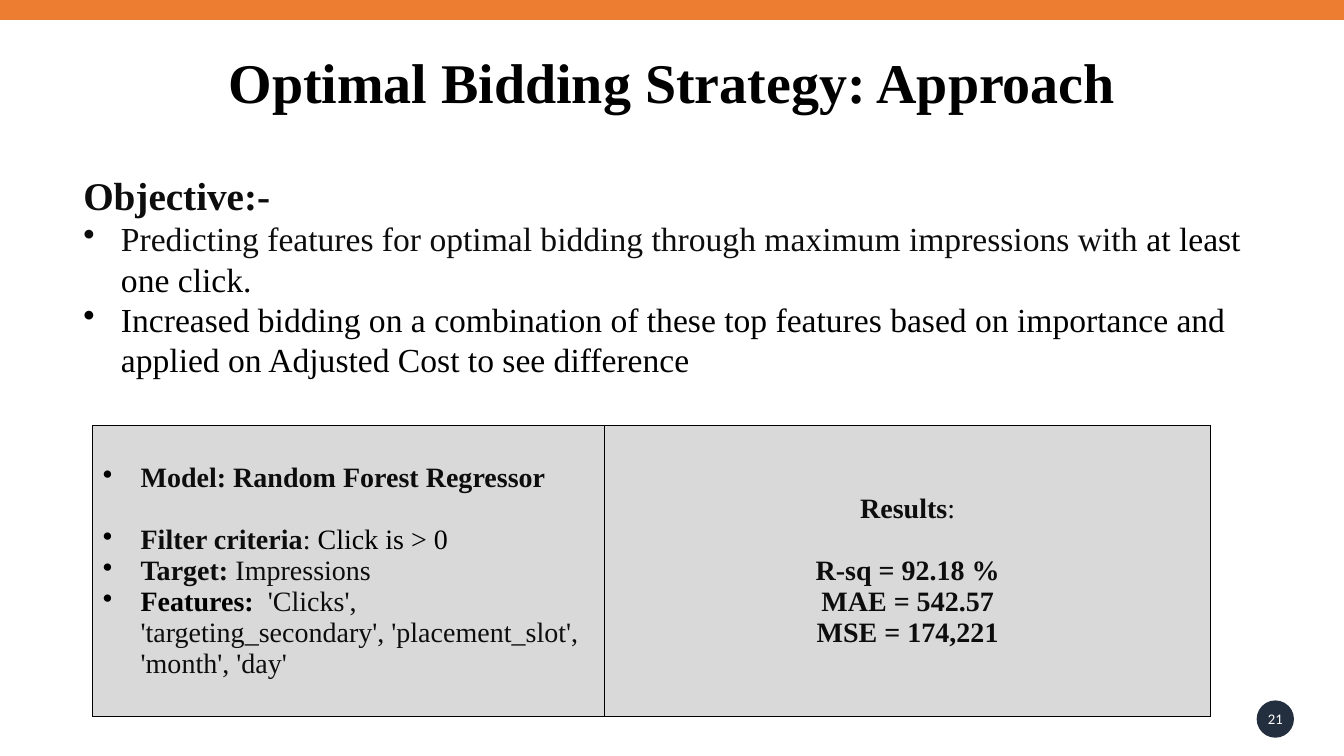
from lxml import etree
from pptx import Presentation
from pptx.dml.color import RGBColor
from pptx.enum.shapes import MSO_CONNECTOR, MSO_SHAPE
from pptx.enum.text import MSO_ANCHOR, MSO_AUTO_SIZE, PP_ALIGN
from pptx.oxml.ns import qn
from pptx.util import Cm, Pt

CENTER = PP_ALIGN.CENTER
MIDDLE, BOTTOM = MSO_ANCHOR.MIDDLE, MSO_ANCHOR.BOTTOM
GROW = MSO_AUTO_SIZE.SHAPE_TO_FIT_TEXT
NO_AUTOFIT = MSO_AUTO_SIZE.NONE
STRAIGHT = MSO_CONNECTOR.STRAIGHT
OVAL = MSO_SHAPE.OVAL

COLORS = {"black": "000000", "ink": "0D0D0D", "white": "FFFFFF",
          "navy": "232F3E", "orange": "ED7D31", "grey": "D9D9D9"}
SERIF, SANS = "Times New Roman", "Calibri"
HANG = Cm(0.95)
BLANK_LINE = 22

# A span is (text, bold, color); a line is (spans, options for the paragraph).
OBJECTIVE = [
    ([("Objective:-", True, "ink")], {"size": 28}),
    ([("Predicting features for optimal bidding through maximum impressions with", False, "ink"),
      (" at least one click.", False, "black")], {"bullet": True}),
    ([("Increased bidding on a combination of these top features based on "
       "importance and applied on Adjusted Cost to see difference", False, "black")],
     {"bullet": True}),
]
MODEL = [
    ([("Model: Random Forest Regressor", True, "ink")], {"after": BLANK_LINE}),
    ([("Filter criteria", True, "ink"), (": ", False, "ink"),
      ("Click is > 0", False, "black")], {}),
    ([("Target: ", True, "ink"), ("Impressions", False, "ink")], {}),
    ([("Features:  ", True, "black"),
      ("'Clicks', 'targeting_secondary', 'placement_slot', 'month', 'day'", False, "ink")], {}),
]
RESULTS = [
    ([("Results", True, "ink"), (":", False, "ink")], {"after": BLANK_LINE}),
    ([("R-sq = 92.18 %", True, "ink")], {}),
    ([("MAE = 542.57", True, "ink")], {}),
    ([("MSE = 174,221", True, "ink")], {}),
]


def rgb(name):
    return RGBColor.from_string(COLORS[name])


class SlideBuilder:
    def __init__(self, deck):
        self.page = deck.slides.add_slide(deck.slide_layouts[5])
        self.shapes = self.page.shapes

    def fill_text(self, frame, lines, size, font=SERIF, **shared):
        """Fill a frame with lines; shared options apply to every paragraph."""
        for index, (spans, own) in enumerate(lines):
            options = {"size": size, **shared, **own}
            para = frame.paragraphs[0] if index == 0 else frame.add_paragraph()
            if options.get("bullet"):
                self.bullet(para, options.get("bullet_color"))
            if "align" in options:
                para.alignment = options["align"]
            if "after" in options:
                para.space_after = Pt(options["after"])
            for text, bold, color in spans:
                span = para.add_run()
                span.text = text
                span.font.name = font
                span.font.size = Pt(options["size"])
                span.font.bold = bold
                span.font.color.rgb = rgb(color)

    def bullet(self, para, color):
        properties = para._p.get_or_add_pPr()
        properties.set("marL", str(HANG))
        properties.set("indent", str(-HANG))
        if color:
            holder = etree.SubElement(properties, qn("a:buClr"))
            etree.SubElement(holder, qn("a:srgbClr"), val=COLORS[color])
        etree.SubElement(properties, qn("a:buChar"), char="•")

    def title(self, text, left, top, width, height):
        box = self.shapes.title
        box.left, box.top, box.width, box.height = map(Cm, (left, top, width, height))
        frame = box.text_frame
        frame.word_wrap = True
        frame.auto_size = NO_AUTOFIT
        frame.vertical_anchor = BOTTOM
        frame.margin_left = frame.margin_right = 0
        self.fill_text(frame, [([(text, True, "black")], {})], 40, align=CENTER)
        frame.paragraphs[0].line_spacing = 0.9

    def text_box(self, lines, left, top, width, height, size):
        box = self.shapes.add_textbox(*map(Cm, (left, top, width, height)))
        frame = box.text_frame
        frame.word_wrap = True
        frame.auto_size = GROW
        self.fill_text(frame, lines, size)

    def page_badge(self, number, left, top, diameter):
        badge = self.shapes.add_shape(OVAL, *map(Cm, (left, top, diameter, diameter)))
        badge.shadow.inherit = False
        badge.fill.solid()
        badge.fill.fore_color.rgb = rgb("navy")
        badge.line.fill.background()
        frame = badge.text_frame
        frame.word_wrap = False
        frame.vertical_anchor = MIDDLE
        frame.margin_left = frame.margin_right = frame.margin_top = frame.margin_bottom = 0
        self.fill_text(frame, [([(number, False, "white")], {})], 10.5, SANS, align=CENTER)

    def line(self, start, end, color, weight):
        line = self.shapes.add_connector(STRAIGHT, *map(Cm, start + end))
        line.line.color.rgb = rgb(color)
        line.line.width = Pt(weight)
        etree.SubElement(line._element.spPr, qn("a:effectLst"))

    def table(self, left, top, widths, height):
        """Add a one-row table and return its grey, bordered cells."""
        box = self.shapes.add_table(1, len(widths), *map(Cm, (left, top, sum(widths), height)))
        table = box.table
        table.first_row = table.horz_banding = False
        for column, width in zip(table.columns, widths):
            column.width = Cm(width)
        for cell in table.iter_cells():
            cell.vertical_anchor = MIDDLE
            self.borders(cell, "black", 1)
            cell.fill.solid()
            cell.fill.fore_color.rgb = rgb("grey")
        return list(table.iter_cells())

    def borders(self, cell, color, weight):
        properties = cell._tc.get_or_add_tcPr()
        for side in ("lnL", "lnR", "lnT", "lnB"):
            edge = etree.SubElement(properties, qn("a:" + side), w=str(Pt(weight)))
            fill = etree.SubElement(edge, qn("a:solidFill"))
            etree.SubElement(fill, qn("a:srgbClr"), val=COLORS[color])


def main():
    deck = Presentation()
    deck.slide_width, deck.slide_height = Cm(33.87), Cm(19.05)
    slide = SlideBuilder(deck)
    slide.title("Optimal Bidding Strategy: Approach", 2.34, 1.32, 29.18, 1.73)
    slide.page_badge("21", 31.67, 17.65, 0.94)
    slide.text_box(OBJECTIVE, 1.85, 4.19, 31.09, 10.01, 24)
    model, results = slide.table(2.34, 10.72, (12.9, 15.27), 7.34)
    slide.fill_text(model.text_frame, MODEL, 20, bullet=True, bullet_color="black")
    slide.fill_text(results.text_frame, RESULTS, 20, align=CENTER)
    slide.line((0, 0.25), (33.87, 0.25), "orange", 15)
    deck.save("out.pptx")


if __name__ == "__main__":
    main()
